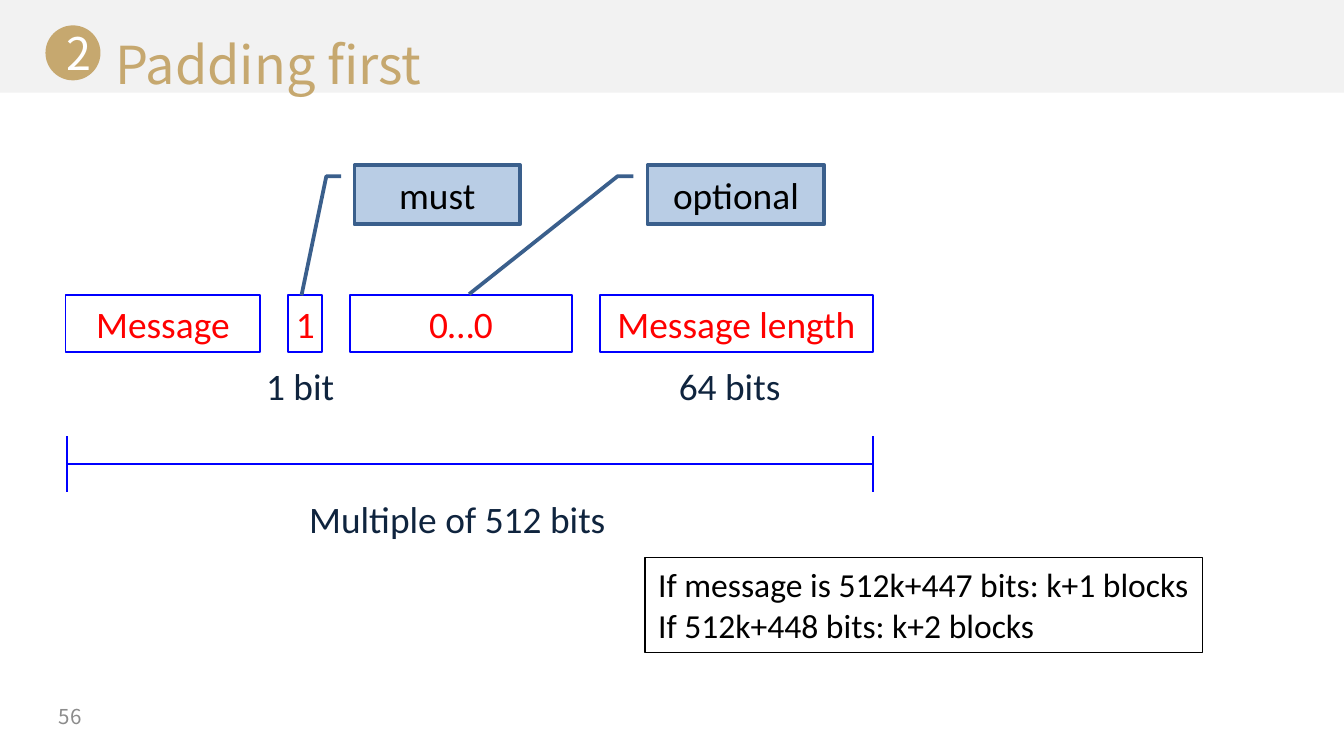
import pptx
import pptx.util
import pptx.dml.color
import pptx.enum.shapes
import pptx.enum.text
import pptx.oxml.ns
import lxml.etree

Cm = pptx.util.Cm
Pt = pptx.util.Pt
RGB = pptx.dml.color.RGBColor
SHAPE = pptx.enum.shapes.MSO_SHAPE
ALIGN = pptx.enum.text.PP_ALIGN
ANCHOR = pptx.enum.text.MSO_ANCHOR

GREY = RGB(0xF2, 0xF2, 0xF2)
WHITE = RGB(0xFF, 0xFF, 0xFF)
BLACK = RGB(0, 0, 0)
GOLD = RGB(0xC6, 0xA8, 0x6F)
PAGE_GREY = RGB(0x8C, 0x8C, 0x8C)
BLUE = RGB(0, 0, 0xFF)
RED = RGB(0xFF, 0, 0)
NAVY = RGB(0x0F, 0x24, 0x3E)
CALLOUT_FILL = RGB(0xB9, 0xCD, 0xE5)
CALLOUT_LINE = RGB(0x3A, 0x5F, 0x8C)
BODY_FONT = "Calibri"
HEAD_FONT = "Noto Sans CJK KR"


def write(sp, text, size, color, font=BODY_FONT, align=ALIGN.LEFT,
          anchor=ANCHOR.TOP, inset=True, wrap=True):
    tf = sp.text_frame
    tf.text = text
    tf.word_wrap = wrap
    tf.vertical_anchor = anchor
    if not inset:
        tf.margin_left = tf.margin_right = tf.margin_top = tf.margin_bottom = 0
    for p in tf.paragraphs:
        p.alignment = align
        for r in p.runs:
            r.font.size = Pt(size)
            r.font.name = font
            r.font.color.rgb = color
    return tf


def add_text(s, box, text, size, color, **style):
    sp = s.shapes.add_textbox(*map(Cm, box))
    return write(sp, text, size, color, **style)


def add_shape(s, kind, box, fill=None, line=None, width=1):
    sp = s.shapes.add_shape(kind, *map(Cm, box))
    sp.shadow.inherit = False
    if fill is None:
        sp.fill.background()
    else:
        sp.fill.solid()
        sp.fill.fore_color.rgb = fill
    if line is None:
        sp.line.fill.background()
    else:
        sp.line.color.rgb = line
        sp.line.width = Pt(width)
    return sp


def add_line(s, x1, y1, x2, y2):
    cx = s.shapes.add_connector(pptx.enum.shapes.MSO_CONNECTOR.STRAIGHT,
                                Cm(x1), Cm(y1), Cm(x2), Cm(y2))
    cx.line.color.rgb = BLUE
    cx.line.width = Pt(1)
    lxml.etree.SubElement(cx._element.spPr, pptx.oxml.ns.qn("a:effectLst"))


def add_header(s, box, number, title):
    """Numbered disc followed by the title."""
    x, y, w, h = box
    disc = 1.04
    tf = add_text(s, (x + 1.07, y, w - 1.07, h), title, 28, GOLD, font=HEAD_FONT)
    tf.paragraphs[0].line_spacing = 1.5
    sp = add_shape(s, SHAPE.OVAL, (x, y + 0.58, disc, disc), fill=GOLD)
    write(sp, number, 24, WHITE, font=HEAD_FONT, align=ALIGN.CENTER,
          anchor=ANCHOR.MIDDLE)


def add_fields(s, box, fields, gap):
    """Row of message fields with equal gaps."""
    x, y, _, h = box
    for text, width in fields:
        sp = add_shape(s, SHAPE.RECTANGLE, (x, y, width, h), line=BLUE)
        write(sp, text, 20, RED, align=ALIGN.CENTER, anchor=ANCHOR.MIDDLE,
              inset=False, wrap=False)
        x += width + gap


def add_span(s, box, text):
    """Measuring line with end ticks and a caption below."""
    x, y, w, h = box
    add_line(s, x, y + h / 2, x + w, y + h / 2)
    for tick in (x, x + w):
        add_line(s, tick, y, tick, y + h)
    add_text(s, (x + 4.11, y + h + 0.08, 6.53, 1.07), text, 20, NAVY,
             align=ALIGN.CENTER, inset=False)


def add_callout(s, box, text, tip_x, tip_y):
    """Callout whose tip is given as fractions of the box."""
    sp = add_shape(s, SHAPE.LINE_CALLOUT_2, box, CALLOUT_FILL, CALLOUT_LINE, 2)
    for i, value in enumerate((0.19, -0.08, 0.19, -0.17, tip_y, tip_x)):
        sp.adjustments[i] = value
    write(sp, text, 20, BLACK, align=ALIGN.CENTER, anchor=ANCHOR.MIDDLE)


def add_note(s, box, lines):
    """Outlined note on the number of blocks."""
    sp = add_shape(s, SHAPE.RECTANGLE, box, line=BLACK, width=0.75)
    write(sp, "\n".join(lines), 18, BLACK)


def main():
    prs = pptx.Presentation()
    prs.slide_width, prs.slide_height = Cm(25.4), Cm(14.29)
    s = prs.slides.add_slide(prs.slide_layouts[6])

    # Grey band above a white page
    s.background.fill.solid()
    s.background.fill.fore_color.rgb = GREY
    add_shape(s, SHAPE.RECTANGLE, (0, 1.75, 25.4, 12.54), fill=WHITE)

    add_header(s, (0.86, -0.1, 22.02, 1.85), "2", "Padding first")
    add_text(s, (0.86, 13.16, 5.72, 0.76), "56", 11, PAGE_GREY, font=HEAD_FONT,
             anchor=ANCHOR.MIDDLE)

    # Padded message and its sizes
    add_fields(s, (1.24, 5.58, 15.26, 1.07),
               [("Message", 3.68), ("1", 0.64), ("0…0", 4.19),
                ("Message length", 5.16)], gap=0.53)
    for x, w, text in ((5.03, 1.45, "1 bit"), (12.83, 2.18, "64 bits")):
        add_text(s, (x, 6.86, w, 0.86), text, 20, NAVY, inset=False)
    add_span(s, (1.27, 8.25, 15.23, 1.05), "Multiple of 512 bits")

    # Remarks
    add_callout(s, (6.7, 3.12, 3.13, 1.12), "must", -0.32, 2.2)
    add_callout(s, (12.24, 3.12, 3.34, 1.12), "optional", -1.01, 2.18)
    add_note(s, (12.19, 10.54, 10.54, 1.8),
             ["If message is 512k+447 bits: k+1 blocks",
              "If 512k+448 bits: k+2 blocks"])

    prs.save("out.pptx")


if __name__ == "__main__":
    main()
